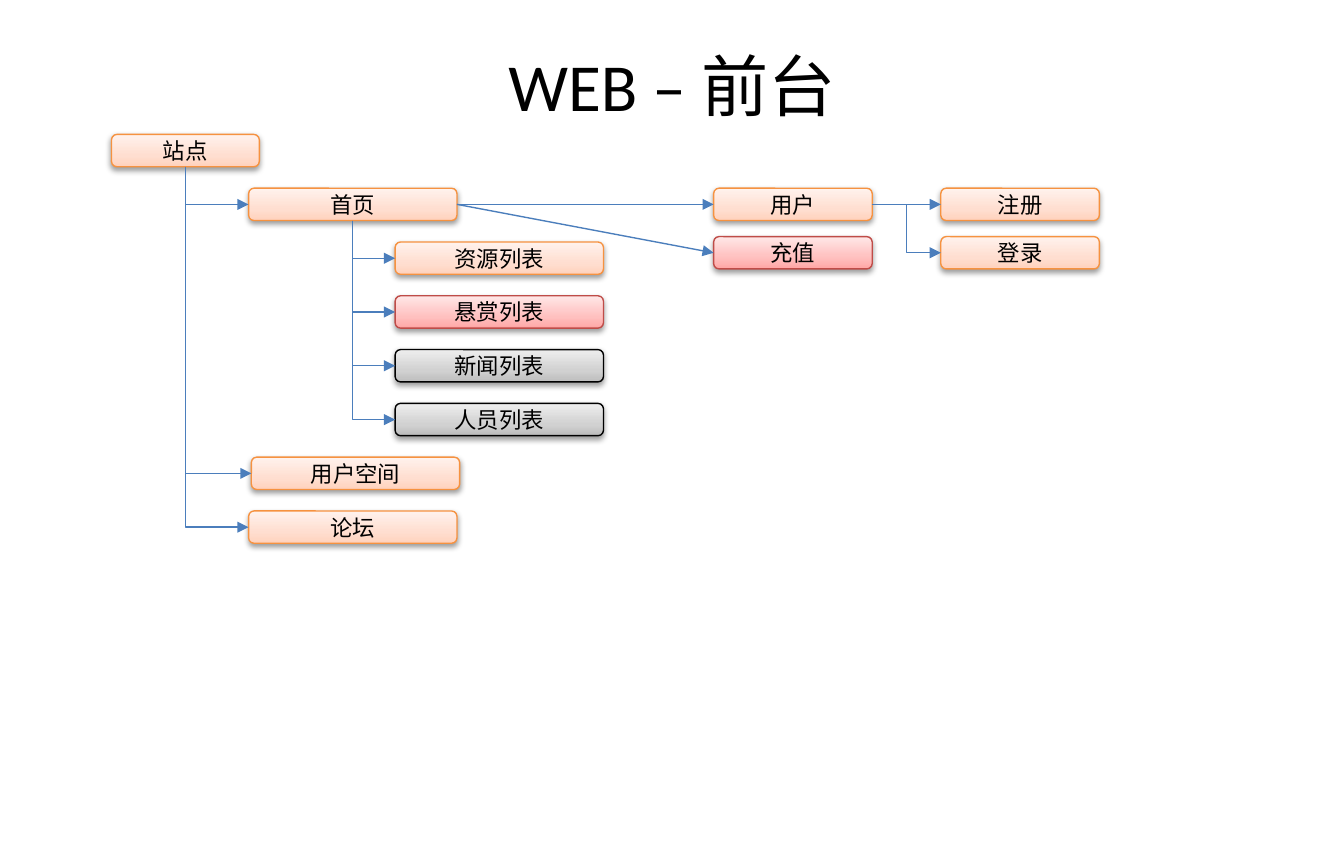
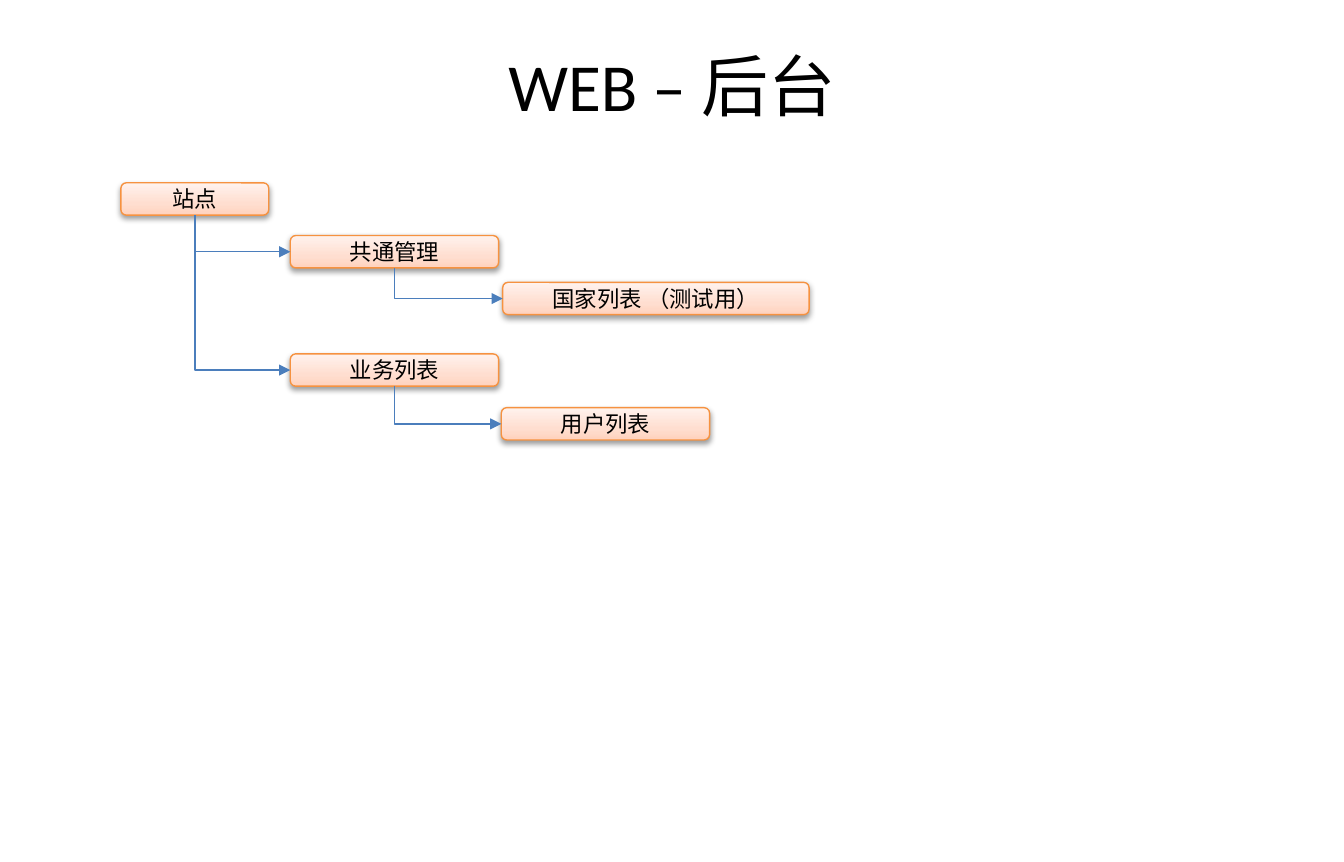
from dataclasses import dataclass
from enum import Enum

from lxml.etree import SubElement
from pptx import Presentation
from pptx.dml.color import RGBColor
from pptx.enum.shapes import MSO_CONNECTOR, MSO_SHAPE
from pptx.enum.text import MSO_ANCHOR, PP_ALIGN
from pptx.oxml import parse_xml
from pptx.oxml.ns import nsdecls, qn
from pptx.shapes.autoshape import Shape
from pptx.shapes.connector import Connector
from pptx.slide import Slide, SlideLayout
from pptx.text.text import TextFrame
from pptx.util import Emu, Inches, Pt

SLIDE_WIDTH, SLIDE_HEIGHT = Inches(10), Inches(6.41)
FONT = "Calibri"
BLACK = RGBColor(0x00, 0x00, 0x00)
LINK_BLUE = RGBColor(0x4B, 0x7E, 0xBC)
OUTLINE = Pt(0.75)

# Grid, in inches: rows share one pitch, columns are given by their left edges.
FIRST_ROW, ROW_PITCH, BOX_HEIGHT = 1.0, 0.4, 0.24
ROOT_WIDTH, PAGE_WIDTH, ACTION_WIDTH, WIDE_WIDTH = 1.1, 1.55, 1.18, 2.28
TOP, LEFT, BOTTOM, RIGHT = range(4)


@dataclass(frozen=True)
class Tone:
    line: RGBColor
    bottom: RGBColor
    middle: RGBColor
    top: RGBColor


ORANGE = Tone(RGBColor(0xF6, 0x92, 0x40), RGBColor(0xFF, 0xD2, 0xBD),
              RGBColor(0xFF, 0xDE, 0xD0), RGBColor(0xFF, 0xF2, 0xED))
RED = Tone(RGBColor(0xBF, 0x4C, 0x48), RGBColor(0xFF, 0xA6, 0xA5),
           RGBColor(0xFF, 0xC0, 0xBF), RGBColor(0xFF, 0xE7, 0xE7))
GREY = Tone(BLACK, RGBColor(0xBD, 0xBD, 0xBD),
            RGBColor(0xD1, 0xD1, 0xD1), RGBColor(0xEE, 0xEE, 0xEE))


class Link(Enum):
    DROP = "down from the parent, then right"
    STRAIGHT = "straight from the parent's right side"
    STEP = "right, down and right again"


@dataclass(frozen=True)
class Page:
    label: str
    left: float
    row: float
    width: float = PAGE_WIDTH
    parent: str = ""
    link: Link = Link.DROP
    tone: Tone = ORANGE


FRONT_PAGES = [
    Page("站点", 0.83, 0, ROOT_WIDTH),
    Page("首页", 1.85, 1, parent="站点"),
    Page("用户空间", 1.87, 6, parent="站点"),
    Page("论坛", 1.85, 7, parent="站点"),
    *(Page(label, 2.94, row, parent="首页", tone=tone)
      for row, (label, tone) in enumerate(
          [("资源列表", ORANGE), ("悬赏列表", RED),
           ("新闻列表", GREY), ("人员列表", GREY)], start=2)),
    Page("用户", 5.31, 1, ACTION_WIDTH, "首页", Link.STRAIGHT),
    Page("充值", 5.31, 1.9, ACTION_WIDTH, "首页", Link.STRAIGHT, RED),
    Page("注册", 7, 1, ACTION_WIDTH, "用户", Link.STRAIGHT),
    Page("登录", 7, 1.9, ACTION_WIDTH, "用户", Link.STEP),
]

BACK_PAGES = [
    Page("站点", 0.9, 0.9, ROOT_WIDTH),
    Page("共通管理", 2.16, 1.88, parent="站点"),
    Page("国家列表 （测试用）", 3.74, 2.75, WIDE_WIDTH, "共通管理"),
    Page("业务列表", 2.16, 4.08, parent="站点"),
    Page("用户列表", 3.73, 5.08, parent="业务列表"),
]

SITE_MAPS = {"WEB – 前台": FRONT_PAGES, "WEB – 后台": BACK_PAGES}


def write_centred(frame: TextFrame, text: str, size: int) -> None:
    frame.vertical_anchor = MSO_ANCHOR.MIDDLE
    paragraph = frame.paragraphs[0]
    paragraph.alignment = PP_ALIGN.CENTER
    run = paragraph.add_run()
    run.text = text
    run.font.name = FONT
    run.font.size = Pt(size)
    run.font.color.rgb = BLACK


def apply_gradient(box: Shape, tone: Tone) -> None:
    """Fill from bottom to top, and add the soft shadow below the box."""
    stops = "".join(
        f'<a:gs pos="{share * 1000}"><a:srgbClr val="{colour}"/></a:gs>'
        for share, colour in ((0, tone.bottom), (35, tone.middle), (100, tone.top)))
    properties = box._element.spPr
    properties.find(qn("a:prstGeom")).addnext(parse_xml(
        f'<a:gradFill {nsdecls("a")} rotWithShape="1"><a:gsLst>{stops}</a:gsLst>'
        '<a:lin ang="16200000" scaled="0"/></a:gradFill>'))
    box.shadow.inherit = False
    shadow = SubElement(properties.find(qn("a:effectLst")), qn("a:outerShdw"),
                        blurRad=str(Pt(3.1)), dist=str(Pt(1.6)),
                        dir="5400000", rotWithShape="0")
    colour = SubElement(shadow, qn("a:srgbClr"), val=str(BLACK))
    SubElement(colour, qn("a:alpha"), val="38000")


def draw_page(slide: Slide, page: Page) -> Shape:
    box = slide.shapes.add_shape(
        MSO_SHAPE.ROUNDED_RECTANGLE, Inches(page.left),
        Inches(FIRST_ROW + page.row * ROW_PITCH),
        Inches(page.width), Inches(BOX_HEIGHT))
    box.line.color.rgb = page.tone.line
    box.line.width = OUTLINE
    apply_gradient(box, page.tone)
    frame = box.text_frame
    frame.word_wrap = True
    frame.margin_left = frame.margin_right = 0
    frame.margin_top = frame.margin_bottom = 0
    write_centred(frame, page.label, 12)
    return box


def bend_once(arrow: Connector) -> None:
    """Turn a three-part elbow into one that goes down, then right."""
    across, down = arrow.width, arrow.height
    middle_x, middle_y = arrow.left + across / 2, arrow.top + down / 2
    properties = arrow._element.spPr
    properties.find(qn("a:prstGeom")).set("prst", "bentConnector2")
    frame = properties.find(qn("a:xfrm"))
    frame.set("rot", "16200000")
    frame.set("flipH", "1")
    arrow.left, arrow.top = Emu(int(middle_x - down / 2)), Emu(int(middle_y - across / 2))
    arrow.width, arrow.height = down, across


def draw_link(slide: Slide, parent: Shape, child: Shape, link: Link) -> None:
    kind = MSO_CONNECTOR.STRAIGHT if link is Link.STRAIGHT else MSO_CONNECTOR.ELBOW
    arrow = slide.shapes.add_connector(kind, 0, 0, 0, 0)
    arrow.begin_connect(parent, BOTTOM if link is Link.DROP else RIGHT)
    arrow.end_connect(child, LEFT)
    if link is Link.DROP:
        bend_once(arrow)
    arrow.line.color.rgb = LINK_BLUE
    arrow.line.width = OUTLINE
    SubElement(arrow.line._get_or_add_ln(), qn("a:tailEnd"), type="triangle")
    SubElement(arrow._element.spPr, qn("a:effectLst"))


def place_title(layout: SlideLayout) -> None:
    title = layout.placeholders[0]
    title.left, title.top = int(SLIDE_WIDTH * 0.05), int(SLIDE_HEIGHT * 0.04)
    title.width, title.height = int(SLIDE_WIDTH * 0.9), Inches(0.75)


def draw_site_map(slide: Slide, heading: str, pages: list[Page]) -> None:
    write_centred(slide.shapes.title.text_frame, heading, 36)
    boxes = {page.label: draw_page(slide, page) for page in pages}
    for page in pages:
        if page.parent:
            draw_link(slide, boxes[page.parent], boxes[page.label], page.link)


def main() -> None:
    deck = Presentation()
    deck.slide_width, deck.slide_height = SLIDE_WIDTH, SLIDE_HEIGHT
    title_only = deck.slide_layouts[5]
    place_title(title_only)
    for heading, pages in SITE_MAPS.items():
        draw_site_map(deck.slides.add_slide(title_only), heading, pages)
    deck.save("out.pptx")


if __name__ == "__main__":
    main()
